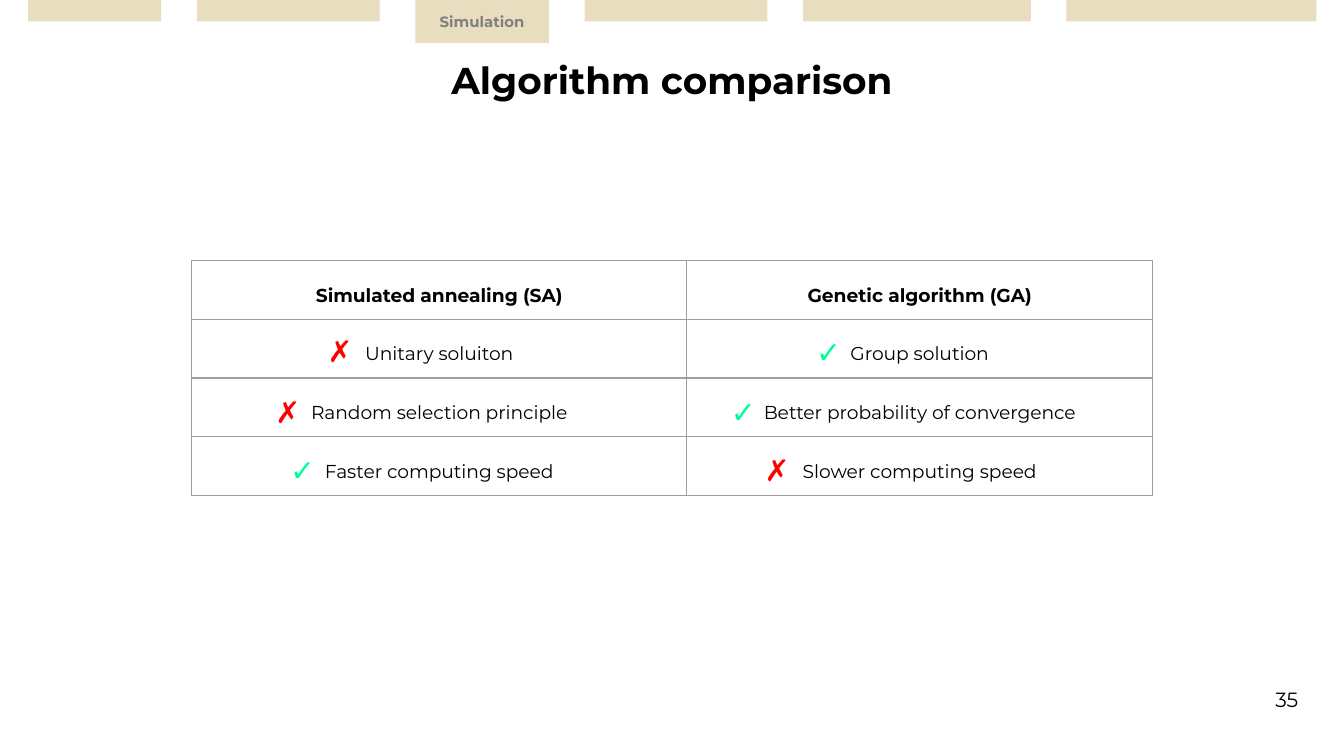
from lxml.etree import SubElement
from pptx import Presentation
from pptx.dml.color import RGBColor
from pptx.enum.shapes import MSO_SHAPE
from pptx.enum.text import MSO_ANCHOR, MSO_AUTO_SIZE, PP_ALIGN
from pptx.oxml import parse_xml
from pptx.oxml.ns import nsdecls, qn
from pptx.util import Pt

EMU_PER_PX = 4572  # 200 px to the inch

SAND = RGBColor(0xE9, 0xDD, 0xC0)
GRAY = RGBColor(0x80, 0x80, 0x80)
BLACK = RGBColor(0x00, 0x00, 0x00)
RED = RGBColor(0xFF, 0x00, 0x00)
GREEN = RGBColor(0x00, 0xFF, 0x99)
BORDER = RGBColor(0x9E, 0x9E, 0x9E)

# Width, height and label of each section tab
TABS = [
    (198, 32, ""),
    (272, 32, ""),
    (199, 64, "Simulation"),
    (272, 32, ""),
    (339, 32, ""),
    (372, 32, ""),
]
TABS_LEFT = 42
TAB_GAP = 53

COLUMN_WIDTHS = [737, 693]
TABLE_HEIGHT = 349
ROWS = [
    ("Simulated annealing (SA)", "Genetic algorithm (GA)"),
    ("Unitary soluiton", "Group solution"),
    ("Random selection principle", "Better probability of convergence"),
    ("Faster computing speed", "Slower computing speed"),
]
# Left and top of each mark
CROSSES = [(1118, 662), (390, 576), (468, 486)]
CHECKS = [(1195, 487), (412, 662), (1068, 576)]


def px(length):
    return length * EMU_PER_PX


def write(frame, text, size, color=BLACK, font="Montserrat", bold=False,
          align=PP_ALIGN.LEFT, line_spacing=None):
    paragraph = frame.paragraphs[0]
    paragraph.alignment = align
    if line_spacing:
        paragraph.line_spacing = line_spacing
    run = paragraph.add_run()
    run.text = text
    run.font.size = Pt(size)
    run.font.name = font
    run.font.bold = bold
    run.font.color.rgb = color
    # Symbols take the same typeface as letters
    for tag in ("a:ea", "a:cs"):
        SubElement(run._r.get_or_add_rPr(), qn(tag)).set("typeface", font)


def add_tab(slide, left, width, height, label):
    shape = slide.shapes.add_shape(
        MSO_SHAPE.RECTANGLE, px(left), 0, px(width), px(height))
    shape.shadow.inherit = False
    shape.fill.solid()
    shape.fill.fore_color.rgb = SAND
    shape.line.fill.background()
    if label:
        shape.text_frame.vertical_anchor = MSO_ANCHOR.MIDDLE
        write(shape.text_frame, label, 8, color=GRAY, bold=True,
              align=PP_ALIGN.CENTER)


def add_tabs(slide):
    left = TABS_LEFT
    for width, height, label in TABS:
        add_tab(slide, left, width, height, label)
        left += width + TAB_GAP


def add_label(slide, left, top, width, height, text, size, **text_format):
    box = slide.shapes.add_textbox(px(left), px(top), px(width), px(height))
    box.text_frame.word_wrap = False
    box.text_frame.auto_size = MSO_AUTO_SIZE.SHAPE_TO_FIT_TEXT
    write(box.text_frame, text, size, **text_format)


def add_title(slide, text):
    box = slide.shapes.add_textbox(px(413), px(66), px(1174), px(104))
    frame = box.text_frame
    frame.word_wrap = True
    frame.vertical_anchor = MSO_ANCHOR.MIDDLE
    frame.margin_top = frame.margin_bottom = px(20)
    write(frame, text, 20, bold=True, align=PP_ALIGN.CENTER)


def set_borders(cell):
    properties = cell._tc.get_or_add_tcPr()
    for index, side in enumerate(("lnL", "lnR", "lnT", "lnB")):
        properties.insert(index, parse_xml(
            f'<a:{side} {nsdecls("a")} w="{Pt(0.75)}"><a:solidFill>'
            f'<a:srgbClr val="{BORDER}"/></a:solidFill></a:{side}>'))


def add_comparison(slide):
    table = slide.shapes.add_table(
        len(ROWS), len(COLUMN_WIDTHS), px(285), px(388),
        px(sum(COLUMN_WIDTHS)), px(TABLE_HEIGHT)).table
    table.horz_banding = False
    table.first_row = False
    for column, width in zip(table.columns, COLUMN_WIDTHS):
        column.width = px(width)
    for row_index, texts in enumerate(ROWS):
        row = table.rows[row_index]
        row.height = px(TABLE_HEIGHT) // len(ROWS)
        for cell, text in zip(row.cells, texts):
            cell.fill.background()
            set_borders(cell)
            cell.vertical_anchor = MSO_ANCHOR.MIDDLE
            cell.margin_left = cell.margin_right = px(14)
            cell.margin_top = cell.margin_bottom = 0
            write(cell.text_frame, text, 10, bold=row_index == 0,
                  align=PP_ALIGN.CENTER, line_spacing=1.5)


def main():
    presentation = Presentation()
    presentation.slide_width = px(2000)
    presentation.slide_height = px(1125)
    slide = presentation.slides.add_slide(presentation.slide_layouts[6])

    # Section tabs and title
    add_tabs(slide)
    add_title(slide, "Algorithm comparison")

    # Comparison table with its marks
    add_comparison(slide)
    for left, top in CROSSES:
        add_label(slide, left, top, 78, 74, "✗", 16, color=RED, bold=True)
    for left, top in CHECKS:
        add_label(slide, left, top, 74, 74, "✓", 16, color=GREEN,
                  font="Arial", bold=True)

    # Page number
    add_label(slide, 1878, 1013, 76, 58, "35", 11)

    presentation.save("out.pptx")


if __name__ == "__main__":
    main()
